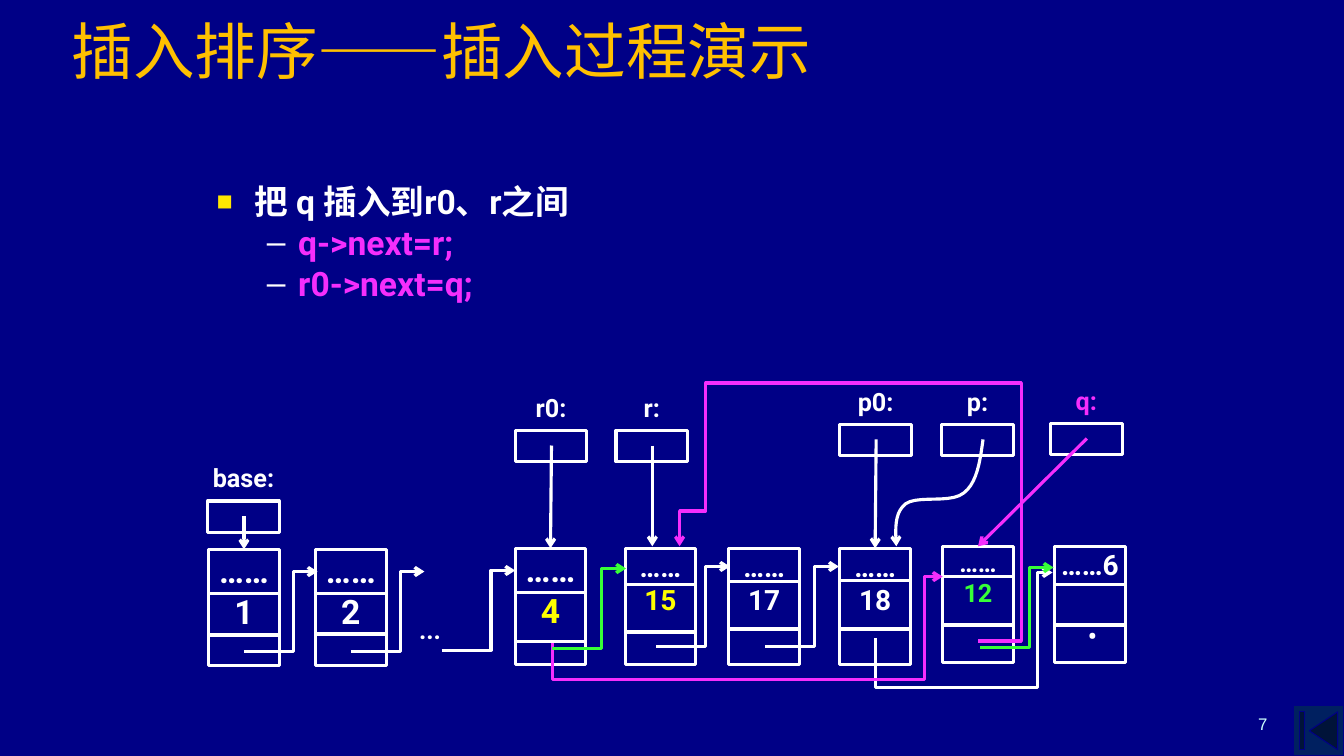
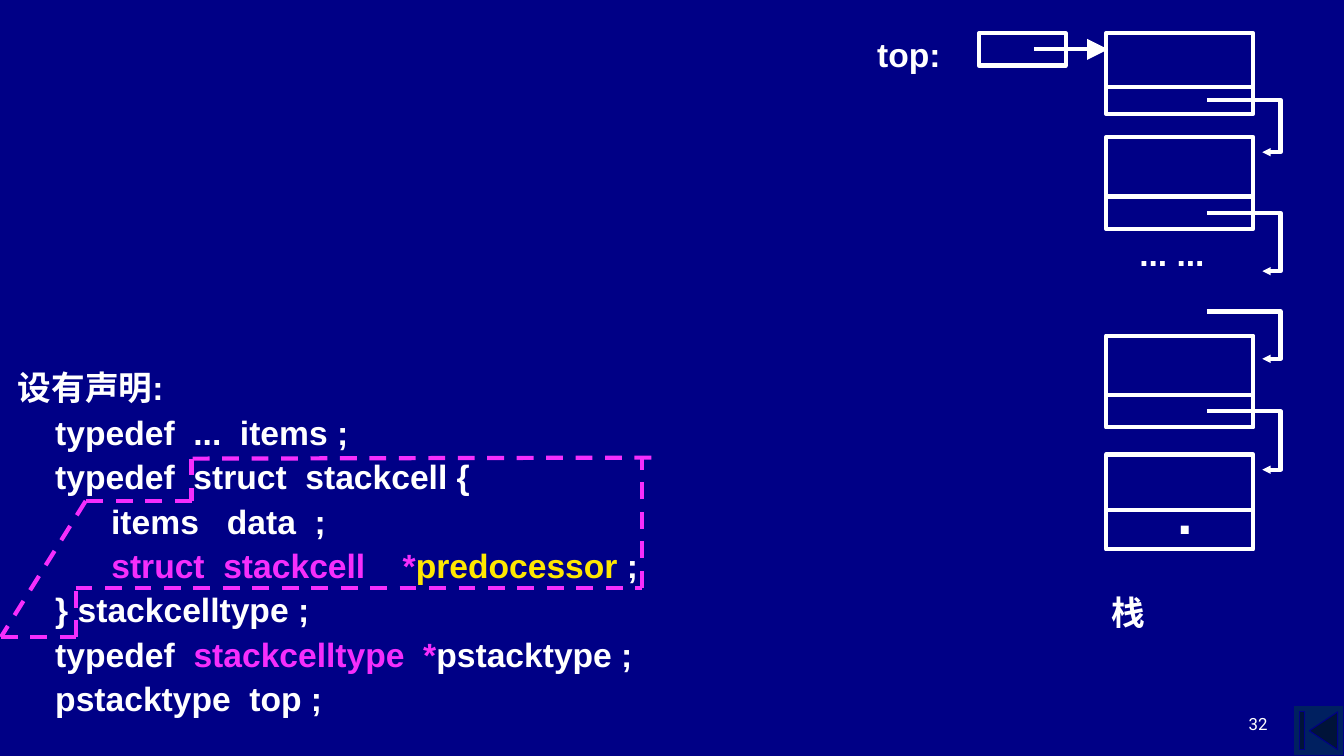
from dataclasses import dataclass
from itertools import pairwise

from lxml import etree
from pptx import Presentation
from pptx import util as u
from pptx.dml.color import RGBColor
from pptx.enum import dml, shapes, text
from pptx.oxml import ns


@dataclass(frozen=True)
class Theme:
    background: str = "000086"
    title: str = "FFC000"
    white: str = "FFFFFF"
    pink: str = "F52EFC"
    gold: str = "FFE701"
    yellow: str = "FFFF00"
    green: str = "37FF37"
    pale: str = "CCFFFF"
    button: str = "002060"
    latin: str = "Arial"
    display: str = "Roboto"
    chinese: str = "Noto Sans CJK SC"
    title_size: float = 44
    body_size: float = 24
    node_size: float = 20
    label_size: float = 18
    number_size: float = 12
    dot_size: float = 40
    thin: float = 2.25
    thick: float = 3


THEME = Theme()
LEFT, CENTER, RIGHT = text.PP_ALIGN.LEFT, text.PP_ALIGN.CENTER, text.PP_ALIGN.RIGHT
TOP, MIDDLE, BOTTOM = text.MSO_ANCHOR.TOP, text.MSO_ANCHOR.MIDDLE, text.MSO_ANCHOR.BOTTOM


def rgb(color):
    return RGBColor.from_string(color)


def add_element(parent, tag, **attributes):
    return etree.SubElement(parent, ns.qn(tag), **attributes)


def style_font(font, size, name, color, bold=True):
    font.size, font.name, font.bold = u.Pt(size), name, bold
    font.color.rgb = rgb(color)


def style_line(shape, color, weight, head=None, scale="med", dashed=False):
    shape.line.color.rgb = rgb(color)
    shape.line.width = u.Pt(weight)
    if dashed:
        shape.line.dash_style = dml.MSO_LINE.DASH
    if head:
        add_element(shape.line._get_or_add_ln(), "a:tailEnd", type=head, w=scale, len=scale)


def prepare_text(shape, inset, anchor):
    frame = shape.text_frame
    frame.word_wrap = True
    frame.vertical_anchor = anchor
    frame.margin_left = frame.margin_right = u.Inches(inset)
    frame.margin_top = frame.margin_bottom = u.Inches(min(inset, 0.05))
    return frame


def add_paras(frame, count):
    return [frame.paragraphs[0]] + [frame.add_paragraph() for _ in range(count - 1)]


def add_bullet(para, margin, hanging, mark, color, percent):
    properties = para._p.get_or_add_pPr()
    properties.set("marL", str(u.Inches(margin)))
    properties.set("indent", str(-u.Inches(hanging)))
    add_element(add_element(properties, "a:buClr"), "a:srgbClr", val=color)
    add_element(properties, "a:buSzPct", val=str(percent * 1000))
    add_element(properties, "a:buFont", typeface=THEME.latin)
    add_element(properties, "a:buChar", char=mark)


@dataclass
class Region:
    page: object
    left: float
    top: float
    weight: float = THEME.thin

    def place(self, x, y):
        return u.Inches(self.left + x), u.Inches(self.top + y)

    def box(self, x, y, width, height, inset=0.1, anchor=TOP):
        box = self.page.shapes.add_textbox(*self.place(x, y), u.Inches(width), u.Inches(height))
        return prepare_text(box, inset, anchor)

    def label(self, x, y, width, height, words, size, name, color=THEME.white,
              align=LEFT, bold=True, inset=0.1, anchor=TOP):
        para = self.box(x, y, width, height, inset, anchor).paragraphs[0]
        para.text, para.alignment = words, align
        style_font(para.font, size, name, color, bold)

    def frame(self, x, y, width, height):
        frame = self.page.shapes.add_shape(
            shapes.MSO_SHAPE.RECTANGLE, *self.place(x, y), u.Inches(width), u.Inches(height))
        frame.shadow.inherit = False
        frame.fill.background()
        style_line(frame, THEME.white, self.weight)
        return frame

    def line(self, start, end, color=THEME.white, **style):
        line = self.page.shapes.add_connector(
            shapes.MSO_CONNECTOR.STRAIGHT, *self.place(*start), *self.place(*end))
        style_line(line, color, self.weight, **style)
        add_element(line._element.spPr, "a:effectLst")
        return line

    def trail(self, points, color=THEME.white, head="arrow", scale="med"):
        start, *rest = [self.place(*point) for point in points]
        builder = self.page.shapes.build_freeform(*start)
        builder.add_line_segments(rest, close=False)
        trail = builder.convert_to_shape()
        trail.shadow.inherit = False
        trail.fill.background()
        style_line(trail, color, self.weight, head, scale)


def bezier(points, steps=10):
    curve = [points[0]]
    for first in range(0, len(points) - 1, 3):
        a, b, c, d = points[first:first + 4]
        for step in range(1, steps + 1):
            t = step / steps
            s = 1 - t
            curve.append(tuple(s**3 * a[i] + 3 * s * s * t * b[i] + 3 * s * t * t * c[i] + t**3 * d[i]
                               for i in (0, 1)))
    return curve


def new_page(deck, number, name, color):
    page = deck.slides.add_slide(deck.slide_layouts[6])
    page.background.fill.solid()
    page.background.fill.fore_color.rgb = rgb(THEME.background)
    button = page.shapes.add_shape(shapes.MSO_SHAPE.ACTION_BUTTON_BEGINNING,
                                   u.Inches(12.83), u.Inches(7), u.Inches(0.5), u.Inches(0.5))
    button.shadow.inherit = False
    button.fill.solid()
    button.fill.fore_color.rgb = rgb(THEME.button)
    style_line(button, THEME.background, 0.75)
    Region(page, 9.56, 6.83).label(0, 0, 3.11, 0.5, number, THEME.number_size, name, color,
                                   RIGHT, bold=False, anchor=BOTTOM)
    return page


def add_steps(region):
    steps = [("把 q 插入到r0、r之间", THEME.white, (0.38, 0.38, "■", THEME.gold, 80))]
    dash = (0.81, 0.31, "–", THEME.white, 100)
    steps += [(words, THEME.pink, dash) for words in ("q->next=r;", "r0->next=q;")]
    paras = add_paras(region.box(0, 0, 9.36, 1.38), len(steps))
    for index, (para, (words, color, bullet)) in enumerate(zip(paras, steps)):
        para.text = words
        add_bullet(para, *bullet)
        para.line_spacing = u.Pt(24)
        para.space_before = u.Pt(5.3 if index else 0)
        style_font(para.font, THEME.body_size, THEME.display, color)


def add_node(region, x, y, dividers, size, words, color):
    node = region.frame(x, y, 0.7, 1.15)
    frame = prepare_text(node, 0.01, TOP)
    for para, line, ink in zip(add_paras(frame, len(words)), words, (THEME.white, color)):
        para.text, para.alignment = line, CENTER
        style_font(para.font, size, THEME.display, ink)
    for divider in dividers:
        region.line((x, y + divider), (x + 0.7, y + divider))
    return node


def add_pointer(region, x, y, name, color=THEME.white):
    region.frame(x, y, 0.71, 0.31)
    region.label(x - 0.22, y - 0.43, 1.15, 0.37, name, THEME.label_size, THEME.display, color, CENTER)


def add_linked_list(region):
    large, medium, small = THEME.body_size, THEME.node_size, THEME.label_size
    nodes = [add_node(region, *node) for node in (
        (0.07, 1.95, (0.44, 0.85), large, ("……", "1"), THEME.white),
        (1.13, 1.95, (0.44, 0.84), large, ("……", "2"), THEME.white),
        (3.11, 1.94, (0.44, 0.92), large, ("……", "4"), THEME.yellow),
        (4.2, 1.94, (0.36, 0.83), medium, ("……", "15"), THEME.yellow),
        (5.23, 1.94, (0.33, 0.8), medium, ("……", "17"), THEME.white),
        (6.33, 1.94, (0.32, 0.8), medium, ("……", "18"), THEME.white),
        (7.35, 1.92, (0.3, 0.78), small, ("……", "12"), THEME.green),
        (8.46, 1.92, (0.38, 0.78), medium, ("……6",), THEME.white))]
    for x, y, words in ((1.99, 2.55, "..."), (8.56, 2.61, "•")):
        region.label(x, y, 0.55, 0.4, words, small, THEME.display, align=CENTER)

    for x, y, name, color, target in (
            (0.06, 1.47, "base:", THEME.white, 0), (3.11, 0.77, "r0:", THEME.white, 2),
            (6.33, 0.71, "p0:", THEME.white, 5), (8.42, 0.7, "q:", THEME.pink, 6)):
        add_pointer(region, x, y, name, color)
        middle = (x + 0.36, y + 0.15)
        region.line(middle, middle, color, head="arrow").end_connect(nodes[target], 0)
    add_pointer(region, 4.11, 0.77, "r:")
    region.line((4.47, 0.92), (4.47, 1.92), head="arrow")
    add_pointer(region, 7.34, 0.71, "p:")
    region.trail(bezier([(7.75, 0.86), (7.72, 1.08), (7.69, 1.29), (7.56, 1.39), (7.43, 1.5),
                         (7.1, 1.41), (6.98, 1.5), (6.87, 1.59), (6.88, 1.75), (6.89, 1.92)]))

    region.trail([(6.68, 2.83), (6.68, 3.32), (8.29, 3.32), (8.29, 2.18), (8.44, 2.18)])
    region.trail([(7.7, 2.86), (8.13, 2.86), (8.13, 0.3), (5, 0.3), (5, 1.57),
                  (4.74, 1.57), (4.74, 1.92)], THEME.pink)
    region.trail([(3.48, 2.88), (3.48, 3.24), (7.17, 3.24), (7.17, 2.22), (7.35, 2.22)], THEME.pink)
    for x, y, color in ((0.42, 2.96, THEME.white), (1.48, 2.96, THEME.white),
                        (2.38, 2.95, THEME.white), (4.51, 2.91, THEME.white),
                        (5.59, 2.91, THEME.white), (7.72, 2.92, THEME.green),
                        (3.48, 2.93, THEME.green)):
        region.trail([(x, y), (x + 0.49, y), (x + 0.49, y - 0.79), (x + 0.73, y - 0.79)], color)


def add_declaration(region):
    white, pink, gold = THEME.white, THEME.pink, THEME.gold
    lines = [
        [("设有声明:", white)],
        [("    typedef  ...  items ;", white)],
        [("    typedef  struct  stackcell {", white)],
        [("          items   data  ;", white)],
        [("          ", white), ("struct  stackcell    *", pink), ("predocessor", gold), (" ;", white)],
        [("    } stackcelltype ;", white)],
        [("    typedef  ", white), ("stackcelltype  *", pink), ("pstacktype ;", white)],
        [("    pstacktype  top ;", white)],
    ]
    paras = add_paras(region.box(0.08, 0.04, 7.05, 3.86), len(lines))
    for index, (para, spans) in enumerate(zip(paras, lines)):
        para.line_spacing = 0.9
        para.space_before = u.Pt(5.8 if index else 0)
        style_font(para.font, THEME.body_size, THEME.latin, white)
        for words, color in spans:
            span = para.add_run()
            span.text = words
            if color != white:
                span.font.color.rgb = rgb(color)
    corners = [(6.46, 0.94), (1.9, 0.95), (1.9, 1.37), (0.85, 1.37), (0.01, 2.72),
               (0.75, 2.72), (0.75, 2.23), (6.37, 2.23), (6.37, 0.94)]
    for start, end in pairwise(corners):
        region.line(start, end, pink, dashed=True)


def add_stack(region):
    for x, y, width, height, words, size in (
            (0.09, 0.03, 0.9, 0.31, "top:", THEME.body_size),
            (2.69, 2, 1, 0.38, "... ...", THEME.body_size),
            (3.07, 4.44, 0.45, 0.47, ".", THEME.dot_size)):
        region.label(x, y, width, height, words, size, THEME.latin, inset=0.01)
    region.label(2.33, 5.52, 2.17, 0.41, "栈", THEME.body_size, THEME.chinese)
    region.frame(1.11, 0.03, 0.86, 0.32)
    for y, height, divider in ((0.03, 0.8, 0.53), (1.06, 0.91, 0.59),
                               (3.03, 0.91, 0.59), (4.21, 0.94, 0.55)):
        region.frame(2.37, y, 1.46, height)
        region.line((2.37, y + divider), (3.83, y + divider))
    for y, drop in ((0.69, 0.52), (1.81, 0.58), (2.79, 0.47), (3.78, 0.58)):
        region.trail([(3.37, y), (4.1, y), (4.1, y + drop), (3.92, y + drop)],
                     head="triangle", scale="sm")
    region.line((1.66, 0.19), (2.39, 0.19), head="triangle", scale="lg")


def main():
    deck = Presentation()
    deck.slide_width, deck.slide_height = u.Inches(13.33), u.Inches(7.5)

    page = new_page(deck, "7", THEME.latin, THEME.pale)
    Region(page, 0.13, 0.22).label(0, 0, 8.5, 0.55, "插入排序——插入过程演示", THEME.title_size,
                                   THEME.display, THEME.title, CENTER, bold=False, anchor=MIDDLE)
    add_steps(Region(page, 2.05, 1.81))
    add_linked_list(Region(page, 2, 3.5))

    page = new_page(deck, "32", THEME.display, THEME.white)
    add_declaration(Region(page, 0, 3.6, THEME.thick))
    add_stack(Region(page, 8.6, 0.3, THEME.thick))

    deck.save("out.pptx")


if __name__ == "__main__":
    main()
